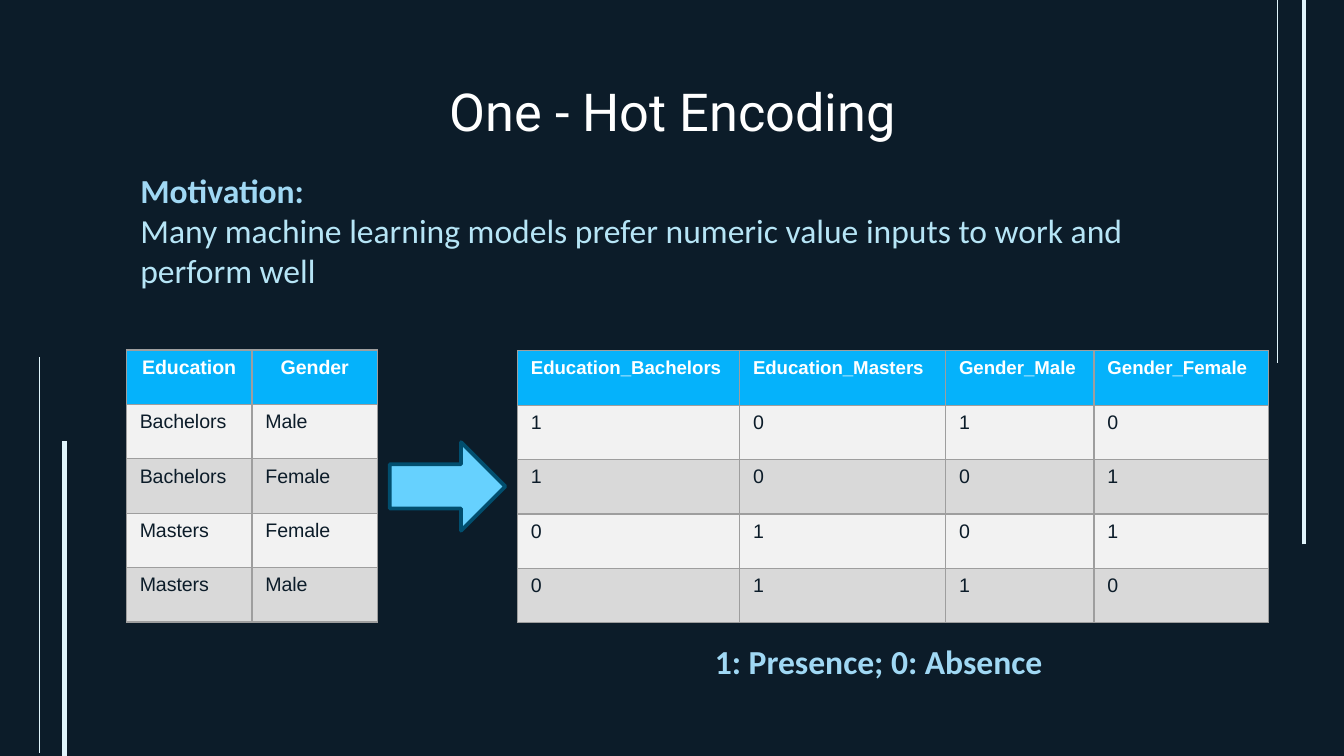
import pptx
import pptx.dml.color
import pptx.enum.shapes
import pptx.enum.text
import pptx.oxml
import pptx.oxml.ns
import pptx.util

SLIDE_WIDTH = pptx.util.Inches(10)
SLIDE_HEIGHT = SLIDE_WIDTH * 9 // 16
COLORS = {
    "background": "0C1C29",
    "rule": "E0F4FB",
    "title": "FFFFFF",
    "strong": "A0D8F4",
    "body": "B6E5F6",
    "header": "05B2FB",
    "light_row": "F2F2F2",
    "dark_row": "D9D9D9",
    "border": "9E9E9E",
    "arrow": "66D1FE",
    "arrow_edge": "014E6E",
}
LEFT = pptx.enum.text.PP_ALIGN.LEFT
CENTER = pptx.enum.text.PP_ALIGN.CENTER
ROW_SHARE = 7.2


def col(share):
    """Return a length as a percentage of the slide's width."""
    return round(SLIDE_WIDTH * share / 100)


def row(share):
    """Return a length as a percentage of the slide's height."""
    return round(SLIDE_HEIGHT * share / 100)


def rgb(color):
    """Look up a named colour."""
    return pptx.dml.color.RGBColor.from_string(COLORS[color])


def add_run(paragraph, text, font, size, color, bold=False):
    """Add one formatted run to a paragraph."""
    run = paragraph.add_run()
    run.text = text
    run.font.name = font
    run.font.size = pptx.util.Pt(size)
    run.font.bold = bold
    run.font.color.rgb = rgb(color)


def add_rule(slide, x, bottom, top, width):
    """Draw a vertical decorative rule."""
    rule = slide.shapes.add_connector(
        pptx.enum.shapes.MSO_CONNECTOR.STRAIGHT, col(x), row(bottom), col(x), row(top)
    )
    rule.line.color.rgb = rgb("rule")
    rule.line.width = pptx.util.Pt(width)
    properties = rule._element.spPr
    properties.append(pptx.oxml.parse_xml(
        f'<a:effectLst {pptx.oxml.ns.nsdecls("a")}/>'
    ))


def add_text(slide, x, y, width, height, lines, align=LEFT, inset=0.5):
    """Add a wrapped text box with one run per line."""
    frame = slide.shapes.add_textbox(col(x), row(y), col(width), row(height)).text_frame
    frame.word_wrap = True
    frame.margin_left = frame.margin_right = col(1)
    frame.margin_top = frame.margin_bottom = col(inset)
    for index, line in enumerate(lines):
        paragraph = frame.add_paragraph() if index else frame.paragraphs[0]
        paragraph.alignment = align
        add_run(paragraph, *line)


def add_borders(cell):
    """Draw thin borders on all four sides of a cell."""
    properties = cell._tc.get_or_add_tcPr()
    for side in ("lnL", "lnR", "lnT", "lnB"):
        properties.append(pptx.oxml.parse_xml(
            f'<a:{side} {pptx.oxml.ns.nsdecls("a")} w="{pptx.util.Pt(0.75)}">'
            f'<a:solidFill><a:srgbClr val="{COLORS["border"]}"/></a:solidFill>'
            f'</a:{side}>'
        ))


def add_data_table(slide, x, y, widths, records, header_size, header_align):
    """Add a table with a coloured header and alternating rows."""
    table = slide.shapes.add_table(
        len(records), len(widths), col(x), row(y),
        col(sum(widths)), row(ROW_SHARE * len(records)),
    ).table
    for column, width in zip(table.columns, widths):
        column.width = col(width)
    for row_index, record in enumerate(records):
        table.rows[row_index].height = row(ROW_SHARE)
        is_header = row_index == 0
        fill = "header" if is_header else ("dark_row", "light_row")[row_index % 2]
        size, color = (header_size, "title") if is_header else (10.5, "background")
        for column_index, value in enumerate(record):
            cell = table.cell(row_index, column_index)
            add_borders(cell)
            cell.fill.solid()
            cell.fill.fore_color.rgb = rgb(fill)
            paragraph = cell.text_frame.paragraphs[0]
            paragraph.alignment = header_align if is_header else LEFT
            add_run(paragraph, value, "Arial", size, color, is_header)


def add_arrow(slide, x, y, width, height):
    """Add the arrow from the categories to their encoding."""
    arrow = slide.shapes.add_shape(
        pptx.enum.shapes.MSO_SHAPE.RIGHT_ARROW, col(x), row(y), col(width), row(height)
    )
    arrow.shadow.inherit = False
    arrow.fill.solid()
    arrow.fill.fore_color.rgb = rgb("arrow")
    arrow.line.color.rgb = rgb("arrow_edge")
    arrow.line.width = pptx.util.Pt(2)


def main():
    """Build the one-hot encoding slide."""
    deck = pptx.Presentation()
    deck.slide_width = SLIDE_WIDTH
    deck.slide_height = SLIDE_HEIGHT
    slide = deck.slides.add_slide(deck.slide_layouts[6])
    slide.background.fill.solid()
    slide.background.fill.fore_color.rgb = rgb("background")

    for rule in (
        (4.8, 100, 58.4, 2.25),
        (2.96, 99.6, 47.2, 0.75),
        (97, 72, 0, 2.25),
        (95.06, 48, 0, 0.75),
    ):
        add_rule(slide, *rule)

    title = ("One - Hot Encoding", "Roboto", 28, "title")
    add_text(slide, 7.9, 8.7, 84.3, 11.2, [title], CENTER, 1)
    add_text(slide, 9.46, 21.55, 75.4, 23.3, [
        ("Motivation:", "Calibri", 18, "strong", True),
        ("Many machine learning models prefer numeric value inputs to work and perform well",
         "Calibri", 18, "body"),
    ])

    people = [
        ("Education", "Gender"),
        ("Bachelors", "Male"),
        ("Bachelors", "Female"),
        ("Masters", "Female"),
        ("Masters", "Male"),
    ]
    categories = [
        (name, value)
        for name, values in zip(people[0], (("Bachelors", "Masters"), ("Male", "Female")))
        for value in values
    ]
    encoded = [[f"{name}_{value}" for name, value in categories]]
    encoded += [
        [str(int(value in person)) for name, value in categories] for person in people[1:]
    ]
    add_data_table(slide, 9.4, 46.3, (9.35, 9.35), people, 10.5, CENTER)
    add_arrow(slide, 29, 58.5, 8.6, 11.7)
    add_data_table(slide, 38.5, 46.4, (16.53, 15.33, 11.05, 13), encoded, 10, LEFT)
    caption = ("1: Presence; 0: Absence", "Calibri", 18, "strong", True)
    add_text(slide, 52.2, 83.9, 33.2, 7.1, [caption])
    deck.save("out.pptx")


if __name__ == "__main__":
    main()
